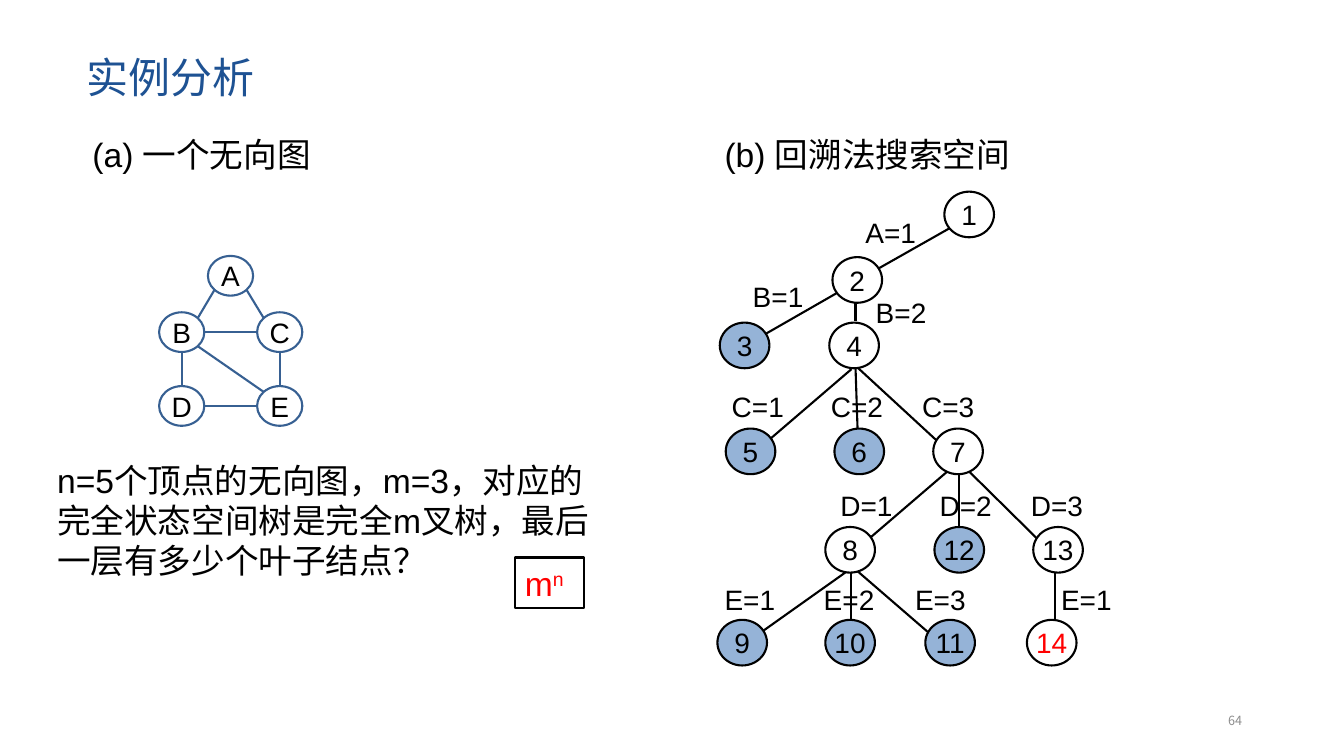
"""Build a slide that pairs an undirected graph with its backtracking search tree."""
import dataclasses
import math

import lxml.etree
import pptx
import pptx.dml.color
import pptx.enum.shapes
import pptx.enum.text
import pptx.oxml.ns
import pptx.shapes.autoshape
import pptx.slide
import pptx.text.text
import pptx.util

Cm = pptx.util.Cm
ALIGN = pptx.enum.text.PP_ALIGN
ANCHOR = pptx.enum.text.MSO_ANCHOR
SHAPES = pptx.enum.shapes.MSO_SHAPE

LATIN, CHINESE = "Arial", "Noto Sans CJK SC"
BLACK, WHITE, RED, GREY = "000000", "FFFFFF", "FF0000", "8C8C8C"
TITLE_BLUE, GRAPH_BLUE, PRUNED = "1E5293", "376092", "95B3D7"
LINE_WIDTH = 1.5
LABEL_TABS = (2.5, 4.8)


@dataclasses.dataclass(frozen=True)
class Node:
    name: str
    left: float
    top: float
    width: float = 1.25
    height: float = 1.15
    fill: str = WHITE
    line: str = BLACK
    color: str = BLACK

    def rim(self, degrees: float) -> tuple[float, float]:
        angle = math.radians(degrees)
        return (self.left + self.width / 2 * (1 + math.cos(angle)),
                self.top + self.height / 2 * (1 + math.sin(angle)))


@dataclasses.dataclass(frozen=True)
class Edge:
    x1: float
    y1: float
    x2: float
    y2: float
    color: str = BLACK


@dataclasses.dataclass(frozen=True)
class Label:
    text: str
    left: float
    top: float
    width: float
    height: float = 1.12
    size: float = 20
    color: str = BLACK


LABELS = [
    Label("实例分析", 1.93, 0.1, 29.2, 3.68, 30, TITLE_BLUE),
    Label("(a) 一个无向图", 2.08, 3.25, 8.76, 1.27, 24),
    Label("(b) 回溯法搜索空间", 18.01, 3.25, 11.66, 1.27, 24),
    Label("n=5个顶点的无向图，m=3，对应的完全状态空间树是完全m叉树，最后一层有多少个叶子结点？",
          1.19, 11.46, 14.17, 3.33, 24),
    Label("A=1", 21.56, 5.31, 2.51),
    Label("B=1", 18.72, 6.93, 2.84),
    Label("B=2", 21.82, 7.32, 2.97),
    Label("C=1\tC=2\tC=3", 18.19, 9.7, 7.62),
    Label("D=1\tD=2\tD=3", 20.93, 12.19, 7.42),
    Label("E=1\tE=2\tE=3", 18.01, 14.55, 8.53),
    Label("E=1", 26.49, 14.55, 1.98),
]

TREE_ROWS = {
    4.83: {"1": 23.8},
    6.48: {"2": 20.98},
    8.13: {"3": 18.14, "4": 20.9},
    10.8: {"5": 18.29, "6": 21.03, "7": 23.52},
    13.28: {"8": 20.8, "12": 23.55, "13": 26.04},
    15.62: {"9": 18.08, "10": 20.8, "11": 23.32, "14": 25.88},
}
PRUNED_NAMES = {"3", "5", "6", "9", "10", "11", "12"}
TREE_NODES = [
    Node(name, left, top, fill=PRUNED if name in PRUNED_NAMES else WHITE,
         color=RED if name == "14" else BLACK)
    for top, row in TREE_ROWS.items() for name, left in row.items()
]
TREE_EDGES = [
    Edge(23.95, 5.74, 22.15, 6.76),
    Edge(21.08, 7.39, 19.3, 8.41),
    Edge(21.56, 7.59, 21.56, 8.1),
    Edge(21.46, 9.3, 18.92, 11.48),
    Edge(21.56, 9.27, 21.62, 11.07),
    Edge(21.62, 9.27, 24.05, 11.51),
    Edge(23.98, 11.79, 21.44, 13.97),
    Edge(24.16, 11.89, 24.16, 14),
    Edge(24.33, 11.79, 26.57, 14),
    Edge(21.34, 14.4, 18.72, 16.26),
    Edge(21.44, 14.2, 21.44, 16.33),
    Edge(21.56, 14.35, 23.85, 16.33),
    Edge(26.59, 14.45, 26.59, 15.6),
]

GRAPH_NODES = {
    name: Node(name, left, top, 1.14, 1, line=GRAPH_BLUE)
    for name, left, top in [("A", 5.24, 6.45), ("B", 4.01, 7.87), ("C", 6.48, 7.87),
                            ("D", 4.01, 9.73), ("E", 6.48, 9.73)]
}
GRAPH_EDGES = [
    Edge(*GRAPH_NODES[start].rim(angle), *GRAPH_NODES[end].rim(angle + 180), GRAPH_BLUE)
    for start, end, angle in [("A", "B", 135), ("A", "C", 45), ("B", "D", 90), ("C", "E", 90),
                              ("B", "C", 0), ("D", "E", 0), ("B", "E", 45)]
]


def rgb(color: str) -> pptx.dml.color.RGBColor:
    return pptx.dml.color.RGBColor.from_string(color)


def add_text(para: pptx.text.text._Paragraph, text: str, *, size: float = 20,
             color: str = BLACK, font: str = LATIN, raised: bool = False) -> None:
    span = para.add_run()
    span.text = text
    span.font.size = pptx.util.Pt(size)
    span.font.color.rgb = rgb(color)
    span.font.name = font
    properties = span.font._element
    east_asian = lxml.etree.SubElement(properties, pptx.oxml.ns.qn("a:ea"))
    east_asian.set("typeface", CHINESE)
    if raised:
        properties.set("baseline", "30000")


def add_tabs(para: pptx.text.text._Paragraph) -> None:
    properties = para._p.get_or_add_pPr()
    tabs = lxml.etree.SubElement(properties, pptx.oxml.ns.qn("a:tabLst"))
    for position in LABEL_TABS:
        tab = lxml.etree.SubElement(tabs, pptx.oxml.ns.qn("a:tab"))
        tab.set("pos", str(int(Cm(position))))
        tab.set("algn", "l")


def add_label(page: pptx.slide.Slide, label: Label) -> None:
    box = page.shapes.add_textbox(Cm(label.left), Cm(label.top), Cm(label.width), Cm(label.height))
    box.text_frame.word_wrap = True
    box.text_frame.vertical_anchor = ANCHOR.MIDDLE if label.color == TITLE_BLUE else ANCHOR.TOP
    para = box.text_frame.paragraphs[0]
    if "\t" in label.text:
        add_tabs(para)
    add_text(para, label.text, size=label.size, color=label.color)


def add_edge(page: pptx.slide.Slide, edge: Edge) -> None:
    line = page.shapes.add_connector(pptx.enum.shapes.MSO_CONNECTOR.STRAIGHT,
                                     Cm(edge.x1), Cm(edge.y1), Cm(edge.x2), Cm(edge.y2))
    line.line.color.rgb = rgb(edge.color)
    line.line.width = pptx.util.Pt(LINE_WIDTH)
    lxml.etree.SubElement(line._element.spPr, pptx.oxml.ns.qn("a:effectLst"))


def add_node(page: pptx.slide.Slide, node: Node) -> None:
    oval = page.shapes.add_shape(SHAPES.OVAL, Cm(node.left), Cm(node.top),
                                 Cm(node.width), Cm(node.height))
    oval.shadow.inherit = False
    oval.fill.solid()
    oval.fill.fore_color.rgb = rgb(node.fill)
    oval.line.color.rgb = rgb(node.line)
    oval.line.width = pptx.util.Pt(LINE_WIDTH)
    oval.text_frame.word_wrap = False
    oval.text_frame.vertical_anchor = ANCHOR.MIDDLE
    para = oval.text_frame.paragraphs[0]
    para.alignment = ALIGN.CENTER
    add_text(para, node.name, color=node.color)


def add_answer(page: pptx.slide.Slide) -> None:
    box = page.shapes.add_textbox(Cm(12.98), Cm(14.05), Cm(1.75), Cm(1.27))
    box.line.color.rgb = rgb(BLACK)
    box.line.width = pptx.util.Pt(LINE_WIDTH)
    box.text_frame.word_wrap = True
    para = box.text_frame.paragraphs[0]
    add_text(para, "m", size=24, color=RED)
    add_text(para, "n", size=24, color=RED, raised=True)


def add_page_number(page: pptx.slide.Slide) -> None:
    box = page.shapes.add_textbox(Cm(23.93), Cm(17.65), Cm(7.62), Cm(1.02))
    box.text_frame.word_wrap = True
    box.text_frame.vertical_anchor = ANCHOR.MIDDLE
    para = box.text_frame.paragraphs[0]
    para.alignment = ALIGN.RIGHT
    add_text(para, "64", size=9, color=GREY, font=CHINESE)


def main() -> None:
    deck = pptx.Presentation()
    deck.slide_width, deck.slide_height = Cm(33.87), Cm(19.05)
    page = deck.slides.add_slide(deck.slide_layouts[6])
    for label in LABELS:
        add_label(page, label)
    for edge in TREE_EDGES + GRAPH_EDGES:
        add_edge(page, edge)
    for node in [*TREE_NODES, *GRAPH_NODES.values()]:
        add_node(page, node)
    add_answer(page)
    add_page_number(page)
    deck.save("out.pptx")


if __name__ == "__main__":
    main()
